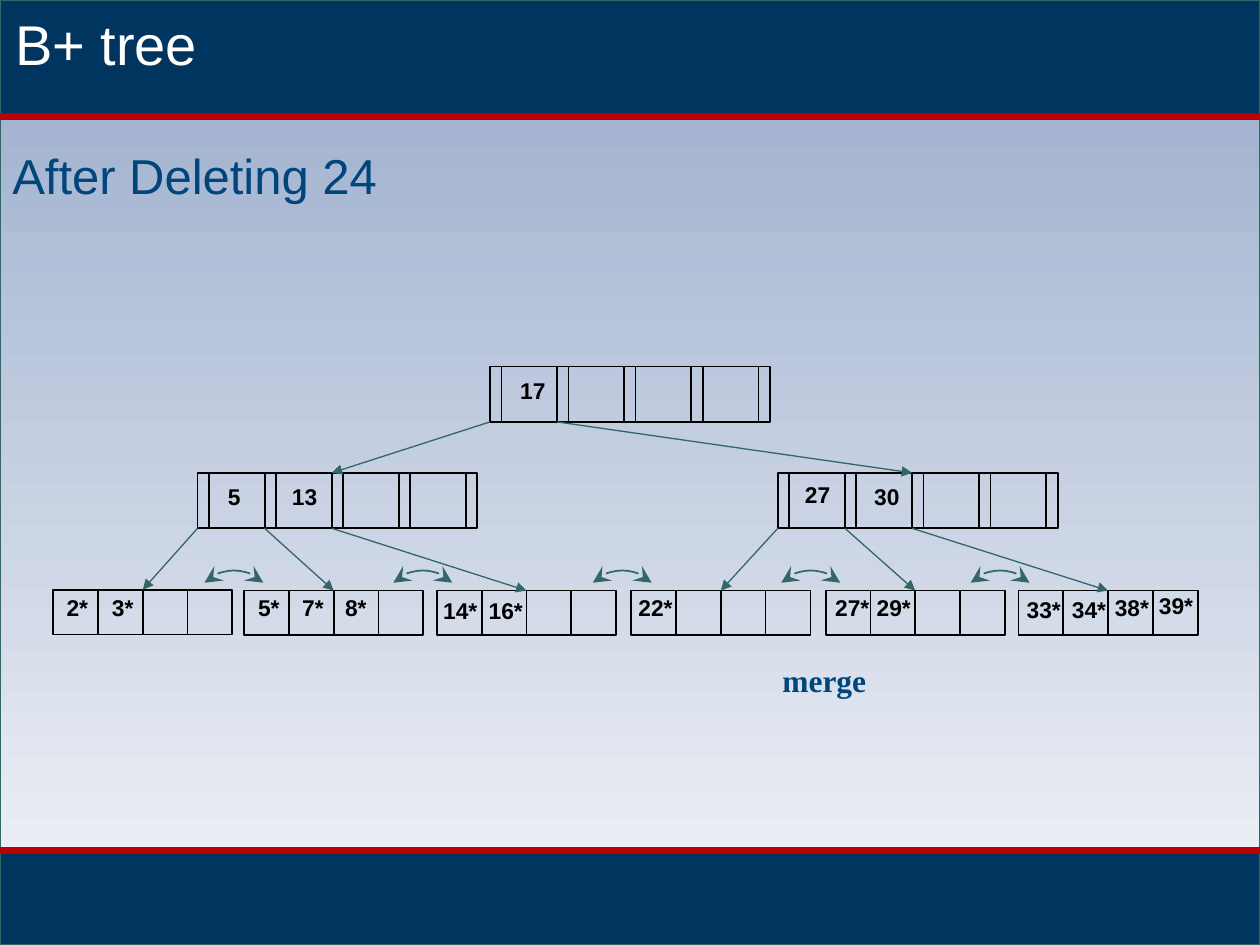
import pptx
import pptx.util
import pptx.dml.color
import pptx.enum.shapes
import pptx.enum.text
import pptx.oxml.ns
from lxml import etree

Pt = pptx.util.Pt
RGB = pptx.dml.color.RGBColor
SHAPE = pptx.enum.shapes.MSO_SHAPE

NAVY = RGB(0x00, 0x35, 0x60)
BLUE = RGB(0x00, 0x45, 0x7C)
TEAL = RGB(0x33, 0x66, 0x66)
RED = RGB(0xBC, 0x00, 0x00)
SKY = RGB(0x99, 0xAB, 0xCB)
MIST = RGB(0xF3, 0xF5, 0xF9)
BLACK = RGB(0, 0, 0)
WHITE = RGB(255, 255, 255)

SLIDE_W, SLIDE_H = 720, 540
HEADER_H, FOOTER_TOP = 66.5, 486
FANOUT = 4
LEAF_CELL = 25.6
INDEX_CELL, POINTER_W, INDEX_H = 38.35, 6.5, 31.7
INDEX_TOP, LEAF_TOP = 270.2, 337.5
ARC_RADIUS = 23.8

# Index nodes: left, top, keys as (text, left, top)
ROOT = (280, 209.4, [("17", 290.2, 211.7)])
LEFT_INDEX = (112.9, INDEX_TOP, [("5", 123.1, 272.2), ("13", 159.8, 272.2)])
RIGHT_INDEX = (444.5, INDEX_TOP, [("27", 452.9, 271.4), ("30", 492.5, 272.2)])

# Leaf nodes: left, top, keys as (text, left, top)
LEAVES = [
    (30.4, 337, [("2*", 31, 335.5), ("3*", 56.9, 335.5)]),
    (139.5, LEAF_TOP, [("5*", 140.4, 335.5), ("7*", 165.6, 335.5),
                       ("8*", 190.1, 335.5)]),
    (249.7, LEAF_TOP, [("14*", 246.2, 337.3), ("16*", 272.2, 337.3)]),
    (360.7, LEAF_TOP, [("22*", 357.8, 335.5)]),
    (471.8, LEAF_TOP, [("27*", 470.2, 335.5), ("29*", 493.9, 335.5)]),
    (582, LEAF_TOP, [("33*", 579.6, 337), ("34*", 605.5, 337),
                     ("38*", 630, 335.5), ("39*", 655.2, 334.8)]),
]
SIBLING_LINK_CENTERS = [133.7, 241.6, 355.6, 463.3, 571.5]


def add_box(slide, left, top, width, height, line, weight, fill=None):
    box = slide.shapes.add_shape(SHAPE.RECTANGLE, Pt(left), Pt(top),
                                 Pt(width), Pt(height))
    box.shadow.inherit = False
    box.line.color.rgb = line
    box.line.width = Pt(weight)
    if fill is None:
        box.fill.background()
    else:
        box.fill.solid()
        box.fill.fore_color.rgb = fill
    return box


def add_arrowhead(line, end, kind, size):
    etree.SubElement(line._get_or_add_ln(), pptx.oxml.ns.qn("a:" + end),
                     type=kind, w=size, len=size)


def add_line(slide, start, end, color, weight, arrow=False):
    line = slide.shapes.add_connector(
        pptx.enum.shapes.MSO_CONNECTOR.STRAIGHT,
        Pt(start[0]), Pt(start[1]), Pt(end[0]), Pt(end[1]))
    line.line.color.rgb = color
    line.line.width = Pt(weight)
    if arrow:
        add_arrowhead(line.line, "tailEnd", "triangle", "med")
    etree.SubElement(line._element.spPr, pptx.oxml.ns.qn("a:effectLst"))


def add_text(slide, text, left, top, width, height, size, color,
             font="Arial", bold=False, wrap=False):
    label = slide.shapes.add_textbox(Pt(left), Pt(top), Pt(width), Pt(height))
    label.text_frame.word_wrap = wrap
    label.text_frame.auto_size = pptx.enum.text.MSO_AUTO_SIZE.SHAPE_TO_FIT_TEXT
    label.text_frame.text = text
    style = label.text_frame.paragraphs[0].runs[0].font
    style.name, style.size, style.bold = font, Pt(size), bold
    style.color.rgb = color


def add_keys(slide, keys):
    for text, left, top in keys:
        width = 14.4 + sum(5.1 if c == "*" else 7.2 for c in text)
        add_text(slide, text, left, top, width, 23, 13, BLACK, bold=True)


def add_index_node(slide, node):
    left, top, keys = node
    for slot in range(FANOUT):
        x = left + slot * INDEX_CELL
        add_box(slide, x, top, INDEX_CELL, INDEX_H, BLACK, 1)
        divider = x + POINTER_W
        add_line(slide, (divider, top), (divider, top + INDEX_H), BLACK, 1)
    add_box(slide, left + FANOUT * INDEX_CELL, top, POINTER_W, INDEX_H,
            BLACK, 1)
    add_keys(slide, keys)


def add_leaf(slide, leaf):
    left, top, keys = leaf
    for slot in range(FANOUT):
        add_box(slide, left + slot * LEAF_CELL, top, LEAF_CELL, LEAF_CELL,
                BLACK, 1)
    add_keys(slide, keys)


def add_child_arrows(slide, parent, child_tops):
    """Arrow from each pointer of the parent to the top middle of a child."""
    left, top, _ = parent
    for slot, target in enumerate(child_tops):
        start = (left + slot * INDEX_CELL, top + INDEX_H)
        add_line(slide, start, target, TEAL, 0.75, arrow=True)


def add_sibling_link(slide, center):
    arc = slide.shapes.add_shape(
        SHAPE.ARC, Pt(center - ARC_RADIUS), Pt(326),
        Pt(2 * ARC_RADIUS), Pt(2 * ARC_RADIUS))
    arc.rotation = -45
    arc.shadow.inherit = False
    arc.fill.background()
    arc.line.color.rgb = TEAL
    arc.line.width = Pt(1)
    for end in ("headEnd", "tailEnd"):
        add_arrowhead(arc.line, end, "stealth", "lg")


def add_backdrop(slide):
    panel = add_box(slide, 0, 0, SLIDE_W, SLIDE_H, TEAL, 0.75)
    panel.fill.gradient()
    panel.fill.gradient_angle = 270
    for stop, color, position in zip(panel.fill.gradient_stops,
                                     (SKY, MIST), (0, 1)):
        stop.color.rgb = color
        stop.position = position
    add_box(slide, 0, FOOTER_TOP, SLIDE_W, SLIDE_H - FOOTER_TOP, TEAL, 0.75,
            NAVY)
    add_box(slide, 0, 0, SLIDE_W, HEADER_H, TEAL, 0.75, NAVY)
    for y in (HEADER_H, FOOTER_TOP):
        add_line(slide, (0, y), (SLIDE_W, y), RED, 3.75)


def main():
    deck = pptx.Presentation()
    deck.slide_width, deck.slide_height = Pt(SLIDE_W), Pt(SLIDE_H)
    slide = deck.slides.add_slide(deck.slide_layouts[6])
    add_backdrop(slide)

    # Tree nodes
    for node in (ROOT, LEFT_INDEX, RIGHT_INDEX):
        add_index_node(slide, node)
    for leaf in LEAVES:
        add_leaf(slide, leaf)

    # Links between siblings and from parents to children
    for center in SIBLING_LINK_CENTERS:
        add_sibling_link(slide, center)
    leaf_tops = [(left + 2 * LEAF_CELL, top) for left, top, _ in LEAVES]
    index_tops = [(left + 2 * INDEX_CELL, top)
                  for left, top, _ in (LEFT_INDEX, RIGHT_INDEX)]
    add_child_arrows(slide, LEFT_INDEX, leaf_tops[:3])
    add_child_arrows(slide, RIGHT_INDEX, leaf_tops[3:])
    add_child_arrows(slide, ROOT, index_tops)

    # Headings and note
    add_text(slide, "After Deleting 24", 0, 79.5, SLIDE_W, 41, 28, BLUE,
             wrap=True)
    add_text(slide, "merge", 440, 374, 63, 28.8, 18, BLUE,
             font="Times New Roman", bold=True)
    add_text(slide, "B+ tree", 1.5, 2, 718.5, 46, 32, WHITE, wrap=True)

    deck.save("out.pptx")


if __name__ == "__main__":
    main()
